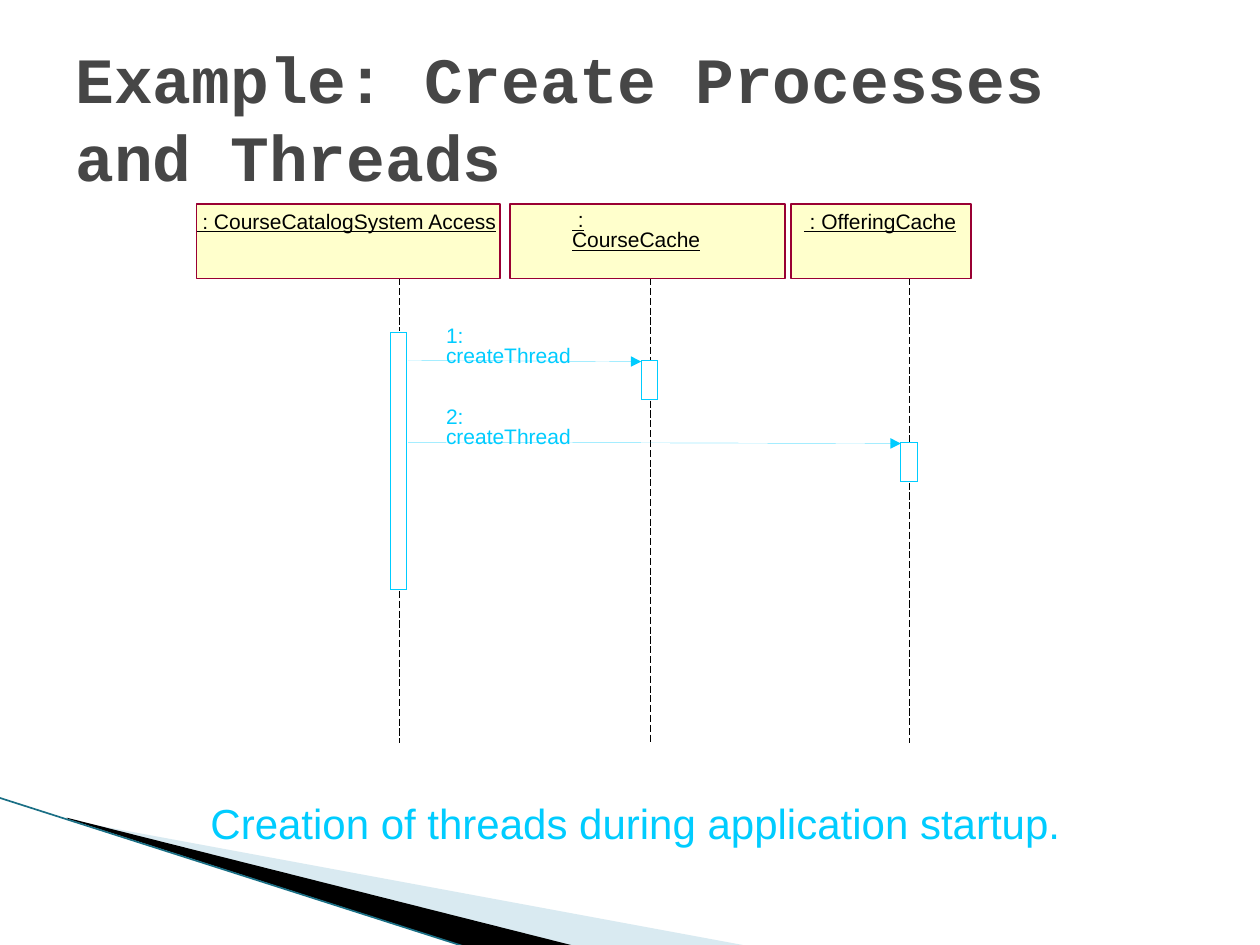
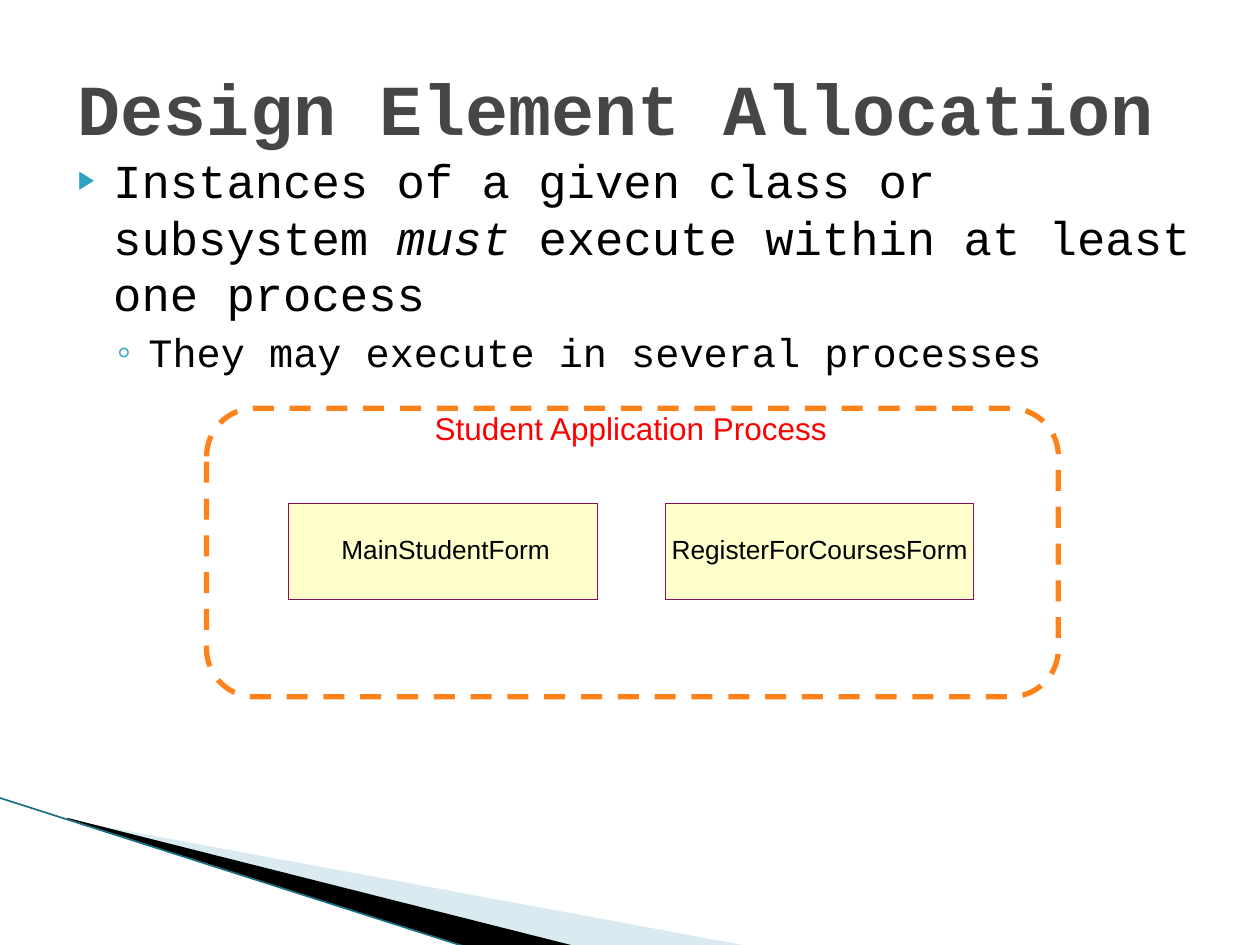
from lxml import etree
from pptx import Presentation
from pptx.dml.color import RGBColor
from pptx.enum.dml import MSO_LINE_DASH_STYLE as Dash
from pptx.enum.shapes import MSO_CONNECTOR as Connector, MSO_SHAPE as Shape
from pptx.enum.text import MSO_ANCHOR as Anchor
from pptx.oxml.ns import qn
from pptx.util import Pt

PX = 9144  # 100 px to the inch

BLACK = RGBColor(0x00, 0x00, 0x00)
TITLE_GRAY = RGBColor(0x46, 0x46, 0x46)
PALE_BLUE = RGBColor(0xA0, 0xCB, 0xDC)
EDGE_TEAL = RGBColor(0x1A, 0x6F, 0x85)
BULLET_TEAL = RGBColor(0x2D, 0xA2, 0xBF)
CYAN = RGBColor(0x00, 0xCC, 0xFF)
CREAM = RGBColor(0xFF, 0xFF, 0xCC)
MAROON = RGBColor(0x99, 0x00, 0x33)
PLUM = RGBColor(0x8A, 0x0E, 0x5E)
ORANGE = RGBColor(0xFF, 0x81, 0x19)
RED = RGBColor(0xFF, 0x00, 0x00)

LABEL = {"name": "Arial", "size": Pt(12), "color": BLACK}
OBJECT_NAME = {**LABEL, "underline": True}
MESSAGE = {**LABEL, "color": CYAN}
CAPTION = {**LABEL, "size": Pt(24), "color": CYAN}
FORM_NAME = {**LABEL, "size": Pt(15)}
PROCESS_NAME = {**LABEL, "size": Pt(18), "color": RED}
TITLE = {"name": "Courier New", "color": TITLE_GRAY, "bold": True}
BODY = {"name": "Courier New", "color": BLACK}


def add_text(slide, box, paragraphs, style, margins=(0, 0), spacing=0.8, anchor=Anchor.TOP):
    """Each paragraph is a list of (text, extra format) runs."""
    shape = slide.shapes.add_textbox(*[value * PX for value in box])
    frame = shape.text_frame
    side, top = [margin * PX for margin in margins]
    frame_format = {"word_wrap": True, "vertical_anchor": anchor, "margin_left": side,
                    "margin_right": side, "margin_top": top, "margin_bottom": top}
    for name, value in frame_format.items():
        setattr(frame, name, value)
    for index, runs in enumerate(paragraphs):
        paragraph = frame.add_paragraph() if index else frame.paragraphs[0]
        paragraph.line_spacing = spacing
        for text, extra in runs:
            run = paragraph.add_run()
            run.text = text
            for name, value in {**style, **extra}.items():
                if name == "color":
                    run.font.color.rgb = value
                else:
                    setattr(run.font, name, value)
    return frame


def set_line(shape, color, width, dash=None):
    shape.line.color.rgb = color
    # A width of 0 is a hairline and must be written out, or the theme width applies
    shape._element.spPr.find(qn("a:ln")).set("w", str(int(Pt(width))))
    if dash:
        shape.line.dash_style = dash


presentation = Presentation()
presentation.slide_width, presentation.slide_height = 1000 * PX, 750 * PX

# Shared corner wedges and title
WEDGES = [
    ([(55, 651), (595, 751), (456, 751), (55, 650)], PALE_BLUE, 40),
    ([(53, 649), (457, 751), (372, 752), (54, 650)], BLACK, 100),
]
TITLES = [
    ("Example: Create Processes and Threads", (50, 30, 900, 125), 36.9),
    ("Design Element Allocation", (52, 22, 900, 125), 41),
]
slides = []
for title, box, size in TITLES:
    slide = presentation.slides.add_slide(presentation.slide_layouts[6])
    slides.append(slide)
    for points, color, opacity in WEDGES:
        builder = slide.shapes.build_freeform(*points[0], scale=PX)
        builder.add_line_segments(points[1:])
        wedge = builder.convert_to_shape()
        wedge.shadow.inherit = False
        wedge.line.fill.background()
        wedge.fill.solid()
        wedge.fill.fore_color.rgb = color
        if opacity < 100:
            fill_color = wedge._element.spPr.find(".//" + qn("a:srgbClr"))
            etree.SubElement(fill_color, qn("a:alpha"), val=str(opacity * 1000))
    add_text(slide, box, [[(title, {"size": Pt(size)})]], TITLE, (10, 5), 1, Anchor.MIDDLE)
sequence_slide, allocation_slide = slides

# Lines: slide, ends, colour, width, dash, arrowhead
LIFELINES = [(317, 263, 469), (516, 286, 318), (722, 351, 383)]
MESSAGES = [(286, 509), (351, 715)]
lines = [(slide, (-1, 633, 371, 752), EDGE_TEAL, 0.95, None, False) for slide in slides]
lines += [(sequence_slide, (x, top, x, bottom), BLACK, 0.5, Dash.LONG_DASH, False)
          for x, bar_top, bar_bottom in LIFELINES
          for top, bottom in [(213, bar_top), (bar_bottom, 590)]]
lines += [(sequence_slide, (324, y, end, y + 1), CYAN, 0, None, True) for y, end in MESSAGES]
for slide, ends, color, width, dash, arrow in lines:
    line = slide.shapes.add_connector(Connector.STRAIGHT, *[value * PX for value in ends])
    set_line(line, color, width, dash)
    properties = line._element.spPr
    if arrow:
        etree.SubElement(properties.find(qn("a:ln")), qn("a:tailEnd"), type="triangle")
    etree.SubElement(properties, qn("a:effectLst"))

# Boxes: slide, kind, place, fill, line colour, line width, dash
HEADERS = [(156, 241), (405, 218), (628, 143)]
BARS = [(310, 264, 204), (509, 286, 31), (715, 351, 31)]
FORMS = [229, 528]
boxes = [(sequence_slide, Shape.RECTANGLE, (left, 162, width, 59), CREAM, MAROON, 1, None)
         for left, width in HEADERS]
boxes += [(sequence_slide, Shape.RECTANGLE, (left, top, 13, height), None, CYAN, 0, None)
          for left, top, height in BARS]
boxes += [(allocation_slide, Shape.RECTANGLE, (left, 400, 245, 76), CREAM, PLUM, 0, None)
          for left in FORMS]
boxes.append((allocation_slide, Shape.ROUNDED_RECTANGLE, (164, 324, 676, 229),
              None, ORANGE, 3, Dash.DASH))
for slide, kind, place, fill, color, width, dash in boxes:
    shape = slide.shapes.add_shape(kind, *[value * PX for value in place])
    shape.shadow.inherit = False
    if fill:
        shape.fill.solid()
        shape.fill.fore_color.rgb = fill
    else:
        shape.fill.background()
    set_line(shape, color, width, dash)

# Labels of both diagrams
LABELS = [
    (sequence_slide, " : CourseCatalogSystem Access", (156, 169, 249, 20), OBJECT_NAME, (0, 0)),
    (sequence_slide, " : CourseCache", (454, 168, 110, 35), OBJECT_NAME, (0, 0)),
    (sequence_slide, " : OfferingCache", (638, 169, 131, 20), OBJECT_NAME, (0, 0)),
    (sequence_slide, "1: createThread", (354, 260, 110, 35), MESSAGE, (0, 0)),
    (sequence_slide, "2: createThread", (354, 324, 110, 35), MESSAGE, (0, 0)),
    (sequence_slide, "Creation of threads during application startup.",
     (155, 635, 709, 52), CAPTION, (12, 6)),
    (allocation_slide, "MainStudentForm", (271, 428, 176, 25), FORM_NAME, (0, 0)),
    (allocation_slide, "RegisterForCoursesForm", (533, 428, 245, 25), FORM_NAME, (0, 0)),
    (allocation_slide, "Student Application Process", (333, 324, 348, 38), PROCESS_NAME, (12, 6)),
]
for slide, text, box, style, margins in LABELS:
    add_text(slide, box, [[(text, {})]], style, margins)

# Bulleted statement
MAIN, DETAIL = {"size": Pt(27)}, {"size": Pt(23)}
statement = add_text(allocation_slide, (40, 115, 928, 193), [
    [("Instances of a given class or subsystem ", MAIN),
     ("must ", {**MAIN, "italic": True}),
     ("execute within at least one process", MAIN)],
    [("They may execute in several processes", DETAIL)],
], BODY, (10, 5), 1)
BULLETS = [("▶", 54, 40, -28, 4), ("◦", 100, 68, -25, 3.2)]
for level, (paragraph, bullet) in enumerate(zip(statement.paragraphs, BULLETS)):
    symbol, percent, margin, indent, space = bullet
    paragraph.level = level
    paragraph.space_before = Pt(space)
    properties = paragraph._p.get_or_add_pPr()
    properties.set("marL", str(margin * PX))
    properties.set("indent", str(indent * PX))
    bullet_color = etree.SubElement(properties, qn("a:buClr"))
    etree.SubElement(bullet_color, qn("a:srgbClr"), val=str(BULLET_TEAL))
    etree.SubElement(properties, qn("a:buSzPct"), val=str(percent * 1000))
    etree.SubElement(properties, qn("a:buFont"), typeface="Arial")
    etree.SubElement(properties, qn("a:buChar"), char=symbol)

presentation.save("out.pptx")
